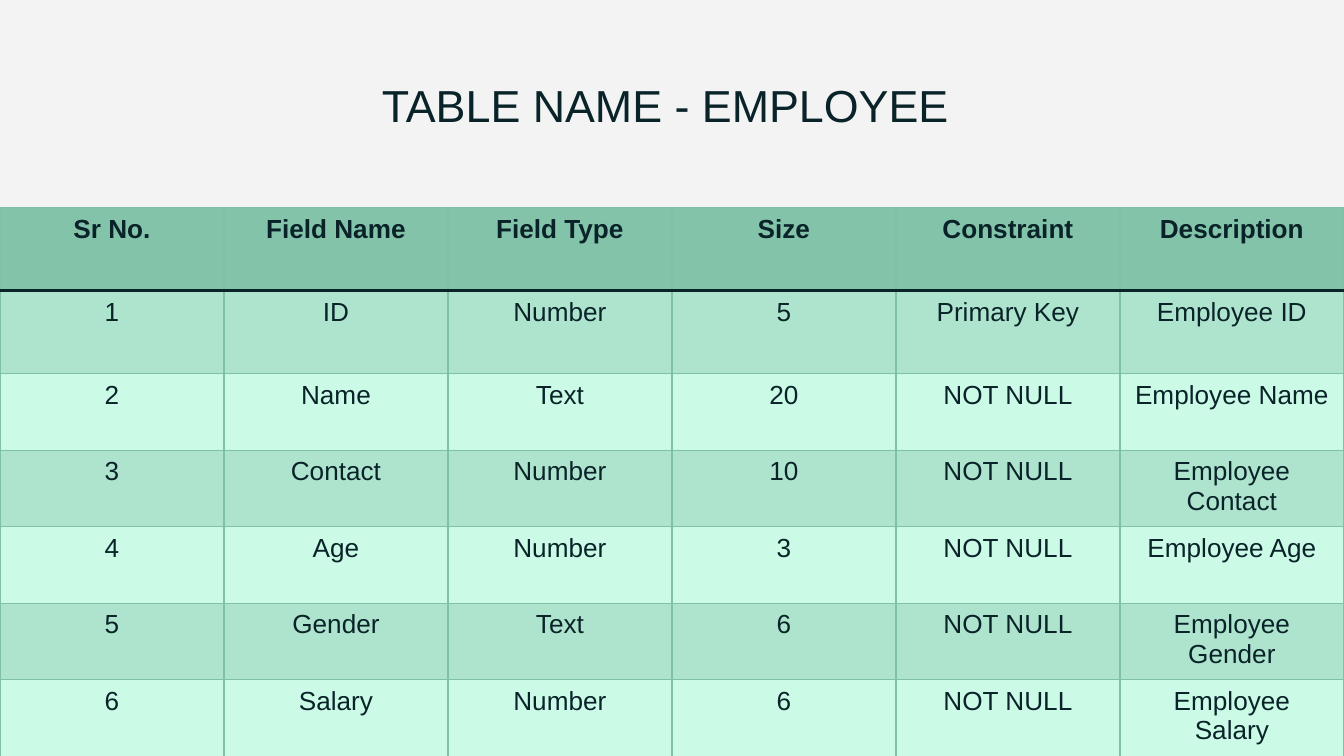
from lxml import etree
from pptx import Presentation
from pptx.dml.color import RGBColor
from pptx.enum import shapes, text
from pptx.oxml import ns
from pptx.util import Pt

BACKGROUND = RGBColor(0xF3, 0xF3, 0xF3)
PANEL = RGBColor(0xCB, 0xFB, 0xE7)
INK = RGBColor(0x09, 0x23, 0x29)
GREEN = RGBColor(0x83, 0xC3, 0xA9)
GRID = RGBColor(0x7F, 0xC0, 0xA6)

FONT = "Arial"
WIDTH, HEIGHT = 720, 405
TABLE_TOP = 111.3
ROW_HEIGHTS = [44.5, 44.5] + [41] * 5
BAND_ALPHA = 40

ROWS = [
    ("Sr No.", "Field Name", "Field Type", "Size", "Constraint", "Description"),
    ("1", "ID", "Number", "5", "Primary Key", "Employee ID"),
    ("2", "Name", "Text", "20", "NOT NULL", "Employee Name"),
    ("3", "Contact", "Number", "10", "NOT NULL", "Employee Contact"),
    ("4", "Age", "Number", "3", "NOT NULL", "Employee Age"),
    ("5", "Gender", "Text", "6", "NOT NULL", "Employee Gender"),
    ("6", "Salary", "Number", "6", "NOT NULL", "Employee Salary"),
]


def write(frame, wording, size, bold=False):
    """Put one centred paragraph into a text frame."""
    para = frame.paragraphs[0]
    para.text = wording
    para.alignment = text.PP_ALIGN.CENTER
    para.font.name = FONT
    para.font.size = Pt(size)
    para.font.bold = bold
    para.font.color.rgb = INK


def add_panel(page):
    panel = page.shapes.add_shape(shapes.MSO_SHAPE.RECTANGLE, Pt(-2), Pt(TABLE_TOP),
                                  Pt(WIDTH + 4), Pt(HEIGHT - TABLE_TOP))
    panel.shadow.inherit = False
    panel.fill.solid()
    panel.fill.fore_color.rgb = PANEL
    panel.line.fill.background()


def add_title(page, wording):
    box = page.shapes.add_textbox(Pt(108), Pt(33), Pt(503.5), Pt(45.5))
    frame = box.text_frame
    frame.word_wrap = True
    frame.vertical_anchor = text.MSO_ANCHOR.MIDDLE
    write(frame, wording, 24)


def set_borders(cell, edges):
    """Draw the edges, given in schema order as tag: (colour, width)."""
    properties = cell._tc.get_or_add_tcPr()
    for index, (tag, (color, width)) in enumerate(edges.items()):
        line = etree.Element(ns.qn(f"a:{tag}"), w=str(Pt(width)))
        fill = etree.SubElement(line, ns.qn("a:solidFill"))
        etree.SubElement(fill, ns.qn("a:srgbClr"), val=str(color))
        properties.insert(index, line)


def fill_cell(cell, row):
    """Solid header, then translucent and clear rows in turn."""
    if row > 0 and row % 2 == 0:
        cell.fill.background()
        return
    cell.fill.solid()
    cell.fill.fore_color.rgb = GREEN
    if row > 0:
        color = cell._tc.tcPr.find(".//" + ns.qn("a:srgbClr"))
        etree.SubElement(color, ns.qn("a:alpha"), val=str(BAND_ALPHA * 1000))


def add_field_table(page):
    columns = len(ROWS[0])
    frame = page.shapes.add_table(len(ROWS), columns, Pt(0), Pt(TABLE_TOP),
                                  Pt(WIDTH), Pt(sum(ROW_HEIGHTS)))
    table = frame.table
    thin, rule = (GRID, 0.75), (INK, 2)
    for column in table.columns:
        column.width = Pt(WIDTH / columns)
    for row, (values, height) in enumerate(zip(ROWS, ROW_HEIGHTS)):
        table.rows[row].height = Pt(height)
        edges = {"lnL": thin, "lnR": thin,
                 "lnT": rule if row == 1 else thin,
                 "lnB": rule if row == 0 else thin}
        for column, value in enumerate(values):
            cell = table.cell(row, column)
            write(cell.text_frame, value, 14, bold=row == 0)
            fill_cell(cell, row)
            set_borders(cell, edges)


def main():
    deck = Presentation()
    deck.slide_width, deck.slide_height = Pt(WIDTH), Pt(HEIGHT)
    page = deck.slides.add_slide(deck.slide_layouts[6])
    page.background.fill.solid()
    page.background.fill.fore_color.rgb = BACKGROUND

    # Backdrop and heading
    add_panel(page)
    add_title(page, "TABLE NAME - EMPLOYEE ")

    # Field definitions
    add_field_table(page)
    deck.save("out.pptx")


if __name__ == "__main__":
    main()
